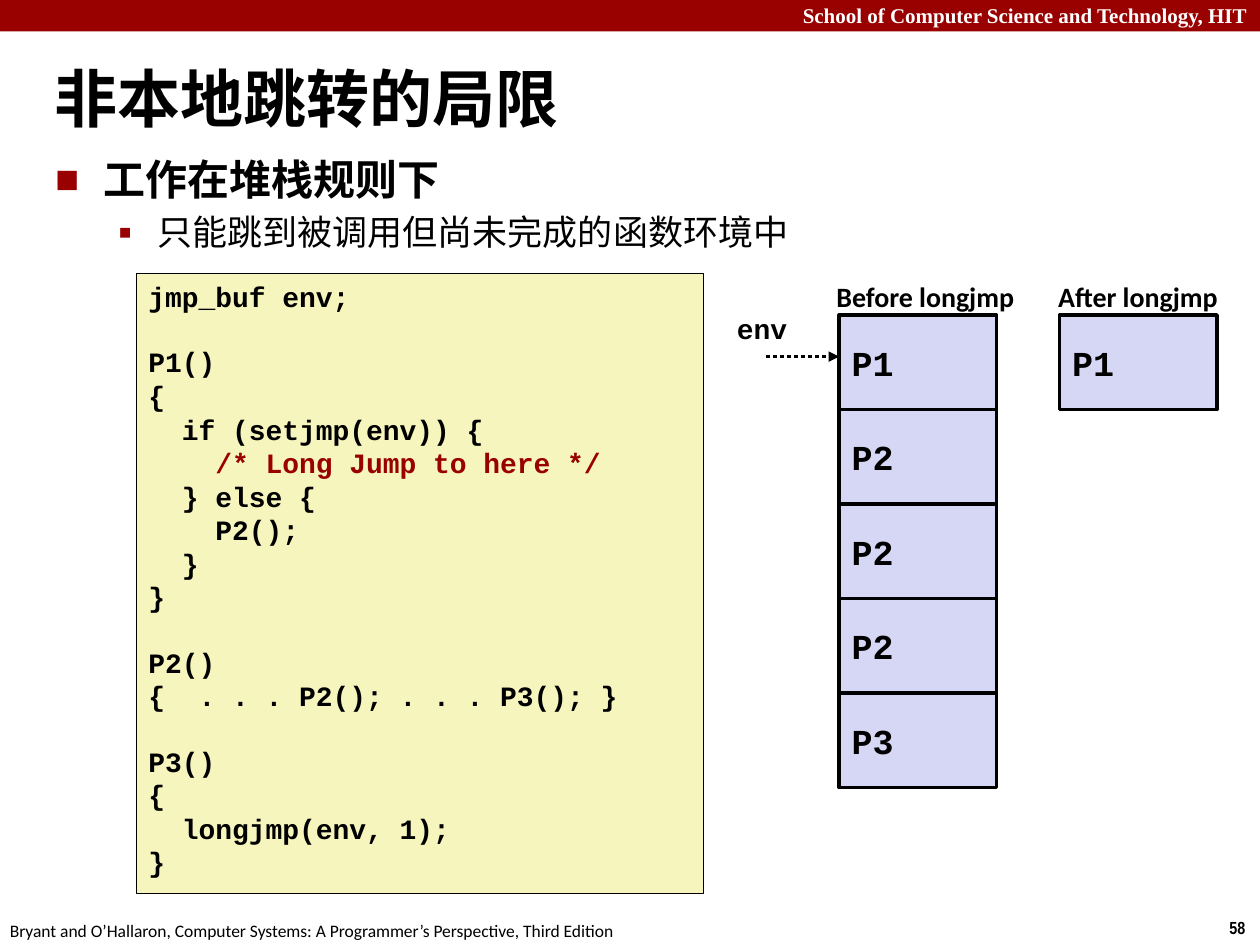
from lxml.etree import SubElement
from pptx import Presentation
from pptx.dml.color import RGBColor
from pptx.enum.dml import MSO_LINE
from pptx.enum.shapes import MSO_CONNECTOR, MSO_SHAPE
from pptx.enum.text import MSO_ANCHOR, PP_ALIGN
from pptx.oxml.ns import qn
from pptx.util import Inches, Pt

COLORS = {
    "black": "000000",
    "white": "FFFFFF",
    "crimson": "990000",
    "code": "F6F5BD",
    "frame": "D6D6F5",
}
SANS, MONO, SERIF, NARROW = "Calibri", "Courier New", "Times New Roman", "Arial Narrow"
COMMENT = "/* Long Jump to here */"
FUNCTIONS = [
    ["jmp_buf env;"],
    [
        "P1()",
        "{",
        "  if (setjmp(env)) {",
        "    " + COMMENT,
        "  } else {",
        "    P2();",
        "  }",
        "}",
    ],
    ["P2()", "{  . . . P2(); . . . P3(); }"],
    ["P3()", "{", "  longjmp(env, 1);", "}"],
]
BULLETS = [
    ("工作在堆栈规则下", 24, True, 0.38, 0.38, "■", 60),
    ("只能跳到被调用但尚未完成的函数环境中", 20, False, 0.81, 0.31, "▪", 110),
]
FRAME_WIDTH, FRAME_HEIGHT, STACK_TOP = 1.25, 0.75, 2.5
STACKS = [
    ("Before longjmp", 6.54, 1.63, 6.66, ["P1", "P2", "P2", "P2", "P3"]),
    ("After longjmp", 8.3, 1.49, 8.41, ["P1"]),
]


def rgb(name):
    return RGBColor.from_string(COLORS[name])


class SlideBuilder:
    def __init__(self, page):
        self.page = page

    def style(self, paragraph, size, font=SANS, color="black", bold=True):
        for span in paragraph.runs:
            span.font.size = Pt(size)
            span.font.name = font
            span.font.bold = bold
            span.font.color.rgb = rgb(color)

    def title(self, text, left, top, width, height):
        box = self.page.shapes.title
        box.left, box.top = Inches(left), Inches(top)
        box.width, box.height = Inches(width), Inches(height)
        frame = box.text_frame
        frame.text = text
        frame.vertical_anchor = MSO_ANCHOR.MIDDLE
        frame.paragraphs[0].alignment = PP_ALIGN.LEFT
        self.style(frame.paragraphs[0], 36)

    def text_box(self, left, top, width, height, wrap=True):
        box = self.page.shapes.add_textbox(
            Inches(left), Inches(top), Inches(width), Inches(height)
        )
        box.text_frame.word_wrap = wrap
        return box.text_frame

    def label(self, text, left, top, width, height, size, font=SANS,
              color="black", bold=True, align=PP_ALIGN.LEFT):
        frame = self.text_box(left, top, width, height, wrap=False)
        frame.text = text
        frame.paragraphs[0].alignment = align
        self.style(frame.paragraphs[0], size, font, color, bold)

    def rectangle(self, left, top, width, height, fill, line_width=None):
        box = self.page.shapes.add_shape(
            MSO_SHAPE.RECTANGLE, Inches(left), Inches(top), Inches(width), Inches(height)
        )
        box.shadow.inherit = False
        box.fill.solid()
        box.fill.fore_color.rgb = rgb(fill)
        if line_width is None:
            box.line.fill.background()
        else:
            box.line.color.rgb = rgb("black")
            box.line.width = Pt(line_width)
        return box

    def bullets(self, items, left, top, width, height):
        frame = self.text_box(left, top, width, height)
        for index, (text, size, bold, margin, hanging, mark, percent) in enumerate(items):
            paragraph = frame.add_paragraph() if index else frame.paragraphs[0]
            paragraph.text = text
            paragraph.level = index
            paragraph.space_before = Pt(size * 0.2)
            self.style(paragraph, size, bold=bold)
            properties = paragraph._p.get_or_add_pPr()
            properties.set("marL", str(Inches(margin)))
            properties.set("indent", str(-Inches(hanging)))
            color = SubElement(properties, qn("a:buClr"))
            SubElement(color, qn("a:srgbClr"), val=COLORS["crimson"])
            SubElement(properties, qn("a:buSzPct"), val=str(percent * 1000))
            SubElement(properties, qn("a:buFont"), typeface=SANS)
            SubElement(properties, qn("a:buChar"), char=mark)

    def code(self, functions, left, top, width, height, size=16):
        box = self.rectangle(left, top, width, height, "code", 0.25)
        frame = box.text_frame
        frame.vertical_anchor = MSO_ANCHOR.TOP
        for block, lines in enumerate(functions):
            for row, line in enumerate(lines):
                paragraph = frame.add_paragraph() if block or row else frame.paragraphs[0]
                paragraph.text = line
                paragraph.alignment = PP_ALIGN.LEFT
                if block and row == 0:
                    paragraph.space_before = Pt(18.1)
                self.style(paragraph, size, MONO, "crimson" if COMMENT in line else "black")

    def stack_frame(self, text, left, top):
        box = self.rectangle(left, top, FRAME_WIDTH, FRAME_HEIGHT, "frame", 2)
        frame = box.text_frame
        frame.text = text
        frame.vertical_anchor = MSO_ANCHOR.MIDDLE
        frame.paragraphs[0].alignment = PP_ALIGN.LEFT
        self.style(frame.paragraphs[0], 20, MONO)

    def dotted_arrow(self, start, end, y):
        arrow = self.page.shapes.add_connector(
            MSO_CONNECTOR.STRAIGHT, Inches(start), Inches(y), Inches(end), Inches(y)
        )
        arrow.line.color.rgb = rgb("black")
        arrow.line.width = Pt(2)
        arrow.line.dash_style = MSO_LINE.ROUND_DOT
        SubElement(arrow.line._get_or_add_ln(), qn("a:tailEnd"), type="triangle")
        SubElement(arrow._element.spPr, qn("a:effectLst"))


def main():
    deck = Presentation()
    deck.slide_width, deck.slide_height = Inches(10), Inches(7.5)
    page = deck.slides.add_slide(deck.slide_layouts[5])
    builder = SlideBuilder(page)

    builder.rectangle(0, 0, 10, 0.25, "crimson")
    builder.label("School of Computer Science and Technology, HIT", 0, -0.03, 10, 0.3,
                  12, SERIF, "white", align=PP_ALIGN.RIGHT)
    builder.label("58", 9.66, 7.23, 0.34, 0.27, 10, NARROW)
    builder.label(
        "Bryant and O’Hallaron, Computer Systems: A Programmer’s Perspective, Third Edition",
        -0.02, 7.25, 5.08, 0.27, 10, bold=False)

    builder.title("非本地跳转的局限", 0.33, 0.46, 7.85, 0.63)
    builder.bullets(BULLETS, 0.34, 1.17, 9.09, 1.27)
    builder.code(FUNCTIONS, 1.08, 2.17, 4.5, 4.92)

    for heading, heading_left, heading_width, left, names in STACKS:
        for index, name in enumerate(names):
            builder.stack_frame(name, left, STACK_TOP + index * FRAME_HEIGHT)
        builder.label(heading, heading_left, 2.17, heading_width, 0.37, 16)

    builder.dotted_arrow(6.08, 6.66, 2.83)
    builder.label("env", 5.75, 2.42, 0.6, 0.37, 16, MONO)

    deck.save("out.pptx")


if __name__ == "__main__":
    main()
